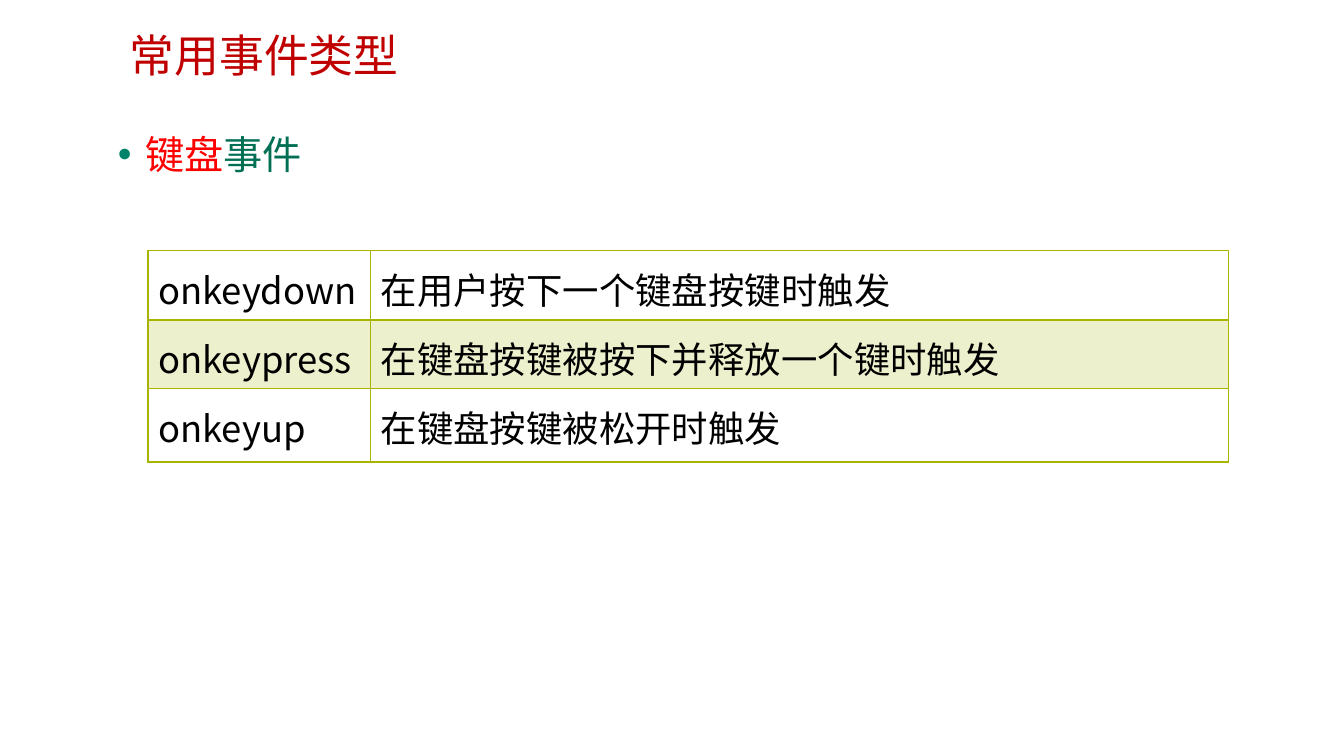
"""Build a slide that lists the keyboard event types."""
from typing import NamedTuple

from lxml.etree import SubElement
from pptx import Presentation
from pptx.dml.color import RGBColor
from pptx.enum.text import MSO_ANCHOR
from pptx.oxml.ns import qn
from pptx.util import Cm, Pt

COLORS = {
    "title": "C00000",
    "key": "FF0000",
    "heading": "006F53",
    "bullet": "008469",
    "table": "A8B400",
    "text": "000000",
}
CJK = "Noto Sans CJK SC"


class Event(NamedTuple):
    name: str
    meaning: str
    height: float
    banded: bool = False
    bottom: float = 1


EVENTS = [
    Event("onkeydown", "在用户按下一个键盘按键时触发", 1.68, bottom=2),
    Event("onkeypress", "在键盘按键被按下并释放一个键时触发", 1.68, banded=True),
    Event("onkeyup", "在键盘按键被松开时触发", 1.85),
]
COLUMNS = [(5.61, CJK), (21.62, "Arial")]


def add_run(p, text: str, *, size: float, color: str, font: str = CJK) -> None:
    r = p.add_run()
    r.text = text
    r.font.size = Pt(size)
    r.font.name = font
    r.font.color.rgb = RGBColor.from_string(COLORS[color])
    SubElement(r.font._element, qn("a:ea"), typeface=CJK)


def add_box(slide, left: float, top: float, width: float, height: float):
    tf = slide.shapes.add_textbox(Cm(left), Cm(top), Cm(width), Cm(height)).text_frame
    tf.word_wrap = True
    tf.margin_top = tf.margin_bottom = 0
    return tf


def add_bullet(p, indent: float) -> None:
    pPr = p._p.get_or_add_pPr()
    pPr.set("marL", str(Cm(indent)))
    pPr.set("indent", str(-Cm(indent)))
    color = SubElement(pPr, qn("a:buClr"))
    SubElement(color, qn("a:srgbClr"), val=COLORS["bullet"])
    SubElement(pPr, qn("a:buFont"), typeface="Arial")
    SubElement(pPr, qn("a:buChar"), char="•")


def set_borders(cell, bottom: float) -> None:
    tcPr = cell._tc.get_or_add_tcPr()
    for side, width in {"L": 1, "R": 1, "T": 1, "B": bottom}.items():
        ln = SubElement(tcPr, qn(f"a:ln{side}"), w=str(Pt(width)))
        fill = SubElement(ln, qn("a:solidFill"))
        SubElement(fill, qn("a:srgbClr"), val=COLORS["table"])


def set_fill(cell, banded: bool) -> None:
    if not banded:
        cell.fill.background()
        return
    cell.fill.solid()
    cell.fill.fore_color.rgb = RGBColor.from_string(COLORS["table"])
    color = cell._tc.tcPr.find(f"{qn('a:solidFill')}/{qn('a:srgbClr')}")
    SubElement(color, qn("a:alpha"), val="20000")


def add_events(slide, events: list[Event]) -> None:
    width = sum(w for w, _ in COLUMNS)
    height = sum(e.height for e in events)
    table = slide.shapes.add_table(
        len(events), len(COLUMNS), Cm(3.73), Cm(6.32), Cm(width), Cm(height)
    ).table
    table.first_row = table.horz_banding = False
    for column, (w, _) in zip(table.columns, COLUMNS):
        column.width = Cm(w)
    for row, event in zip(table.rows, events):
        row.height = Cm(event.height)
        for cell, text, (_, font) in zip(row.cells, event[:2], COLUMNS):
            p = cell.text_frame.paragraphs[0]
            p.line_spacing = Pt(42)
            p.space_before = p.space_after = Pt(6)
            add_run(p, text, size=26, color="text", font=font)
            set_borders(cell, event.bottom)
            set_fill(cell, event.banded)


def main() -> None:
    prs = Presentation()
    prs.slide_width, prs.slide_height = Cm(33.87), Cm(19.05)
    slide = prs.slides.add_slide(prs.slide_layouts[6])

    tf = add_box(slide, 3.02, 0.7, 22.76, 1.37)
    tf.vertical_anchor = MSO_ANCHOR.MIDDLE
    add_run(tf.paragraphs[0], "常用事件类型", size=32, color="title")

    p = add_box(slide, 2.72, 2.7, 28.22, 12.9).paragraphs[0]
    p.line_spacing = 1.5
    add_bullet(p, 0.69)
    add_run(p, "键盘", size=28, color="key")
    add_run(p, "事件", size=28, color="heading")

    add_events(slide, EVENTS)
    prs.save("out.pptx")


if __name__ == "__main__":
    main()
